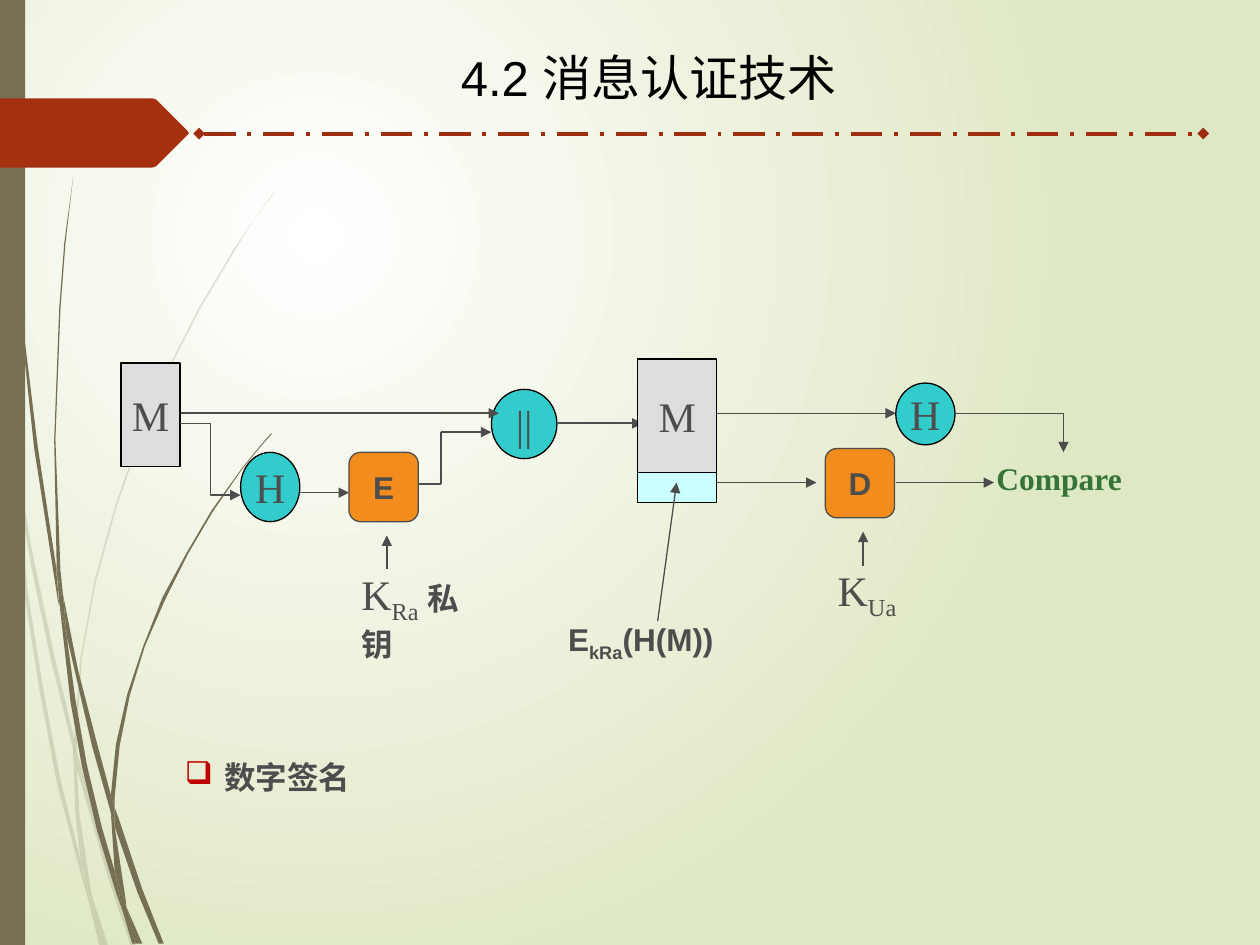
import lxml.etree
import pptx
import pptx.dml.color
import pptx.enum.dml
import pptx.enum.shapes
import pptx.enum.text
import pptx.oxml
import pptx.oxml.ns
import pptx.util

Inches = pptx.util.Inches
SHAPES = pptx.enum.shapes.MSO_SHAPE
CONNECTORS = pptx.enum.shapes.MSO_CONNECTOR
SERIF, SANS = "Times New Roman", "Arial"
GREY, BLACK, OLIVE, RUST = "4D4D4D", "000000", "766F54", "A53010"
SILVER, TEAL, ORANGE = "DDDDDD", "33CCCC", "F28C1C"

PALE_WISPS = [
    [.08, 3.5, .06, 3.22, 0, 2.82, 0, 2.99, .07, 3.44],
    [.4, 5.22, .59, 5.99, .59, 5.86, .43, 5.2, .25, 4.35, .1, 3.45, .12, 3.76, .25, 4.51],
    [.64, 6.07, .61, 5.96, .61, 6.1, .85, 6.94, 1.04, 7.51, 1.08, 7.51, .88, 6.92],
    [.83, 7.51, .86, 7.51, .73, 7.11],
    [.64, 6.83, .48, 6.19, .34, 5.45, .22, 4.69, .12, 3.76, .08, 3.5, .19, 4.7, .31, 5.46,
     .45, 6.21, .64, 6.93, .7, 7.14, .69, 7.07],
    [.58, 5.99, .6, 6.46, .64, 6.83, .67, 6.92, .73, 7.11, .72, 7.06, .63, 6.46, .61, 6.1, .61, 6.08],
    [.61, 5.84, .65, 5.22, .76, 4.62, .92, 4.04, 1.11, 3.49, 1.33, 2.96, 1.59, 2.45, 1.87, 1.98,
     2.01, 1.75, 2.17, 1.54, 2.17, 1.53, 2.01, 1.75, 1.86, 1.97, 1.58, 2.44, 1.32, 2.95, 1.1, 3.48,
     .91, 4.03, .75, 4.61, .64, 5.22, .59, 5.84, .59, 5.86, .61, 5.96],
    [.7, 7.14, .79, 7.51, .82, 7.51],
    [.61, 6.08, .61, 6.1, .61, 5.96, .59, 5.86, .58, 5.99],
    [.67, 6.92, .65, 6.83, .69, 7.07, .7, 7.14, .82, 7.51, .83, 7.51, .73, 7.11],
]
DARK_WISPS = [
    [.05, 1.1, .14, 2.33, .27, 3.55, .46, 4.77, .47, 4.81, .45, 4.57, .45, 4.53, .3, 3.55, .15, 2.32,
     .06, 1.09, .04, .48, .03, 0, .02, 0, .03, .48],
    [.73, 5.92, .88, 6.45, .88, 6.33, .88, 6.31, .77, 5.9, .62, 5.32, .5, 4.72, .53, 5.05],
    [.94, 6.49, .91, 6.41, .91, 6.56, 1.09, 7.08, 1.26, 7.49, 1.3, 7.49, 1.13, 7.06],
    [.91, 6.91, .81, 6.57, .69, 6.07, .6, 5.56, .53, 5.05, .47, 4.77, .56, 5.57, .65, 6.08, .77, 6.59,
     .92, 7.08, .97, 7.22, .96, 7.17],
    [.5, 4.72, .48, 4.53, .44, 3.49, .48, 2.45, .52, 1.93, .58, 1.41, .51, 1.93, .47, 2.45,
     .43, 3.49, .45, 4.49, .49, 4.72],
    [1.1, 7.49, 1.13, 7.49, 1, 7.19],
    [.47, 4.77, .53, 5.05, .5, 4.72, .49, 4.72, .45, 4.49, .45, 4.53],
    [.91, 6.33, .95, 5.92, 1.03, 5.52, 1.15, 5.13, 1.31, 4.76, 1.49, 4.4, 1.69, 4.06, 1.91, 3.74,
     2.03, 3.59, 2.16, 3.44, 2.15, 3.44, 2.03, 3.58, 1.91, 3.73, 1.68, 4.05, 1.48, 4.39, 1.29, 4.74,
     1.14, 5.12, 1.01, 5.51, .92, 5.91, .88, 6.31, .91, 6.41],
    [.97, 7.22, 1.05, 7.49, 1.08, 7.49],
    [.88, 6.45, .91, 6.91, .96, 7.06, 1, 7.19, 1, 7.16, .91, 6.56, .9, 6.51],
    [.88, 6.45, .9, 6.51, .91, 6.56, .91, 6.41, .88, 6.31, .88, 6.33],
    [.96, 7.06, .91, 6.91, .96, 7.17, .97, 7.22, 1.08, 7.49, 1.1, 7.49, 1, 7.19],
]
TAG = [1.5, 1.06, 1.24, 1.32, 1.21, 1.33, 0, 1.33, 0, .78, 1.21, .78, 1.24, .79, 1.49, 1.04]


def colour(value):
    return pptx.dml.color.RGBColor.from_string(value)


def add_xml(parent, tag, **attributes):
    element = pptx.oxml.parse_xml(f'<a:{tag} {pptx.oxml.ns.nsdecls("a")}/>')
    for name, value in attributes.items():
        element.set(name, str(value))
    parent.append(element)
    return element


class Canvas:
    """Draws the signature diagram's elements on one slide in a shared style."""

    def __init__(self, slide):
        self.slide = slide
        self.shapes = slide.shapes

    def background(self, inner, outer):
        fill = self.slide.background.fill
        fill.gradient()
        for stop, value in zip(fill.gradient_stops, (inner, outer)):
            stop.color.rgb = colour(value)
        gradient = self.slide._element.xpath(".//p:bg//a:gradFill")[0]
        gradient.remove(gradient.find(pptx.oxml.ns.qn("a:lin")))
        radial = add_xml(gradient, "path", path="circle")
        add_xml(radial, "fillToRect", l=50000, t=50000, r=100000, b=100000)

    def outline(self, numbers, fill, opacity=100):
        points = [(Inches(x), Inches(y)) for x, y in zip(numbers[::2], numbers[1::2])]
        builder = self.shapes.build_freeform(*points[0])
        builder.add_line_segments(points[1:], close=True)
        shape = builder.convert_to_shape()
        self.paint(shape, fill)
        if opacity < 100:
            add_xml(shape._element.xpath("./p:spPr/a:solidFill/*")[0], "alpha", val=opacity * 1000)

    def paint(self, shape, fill, line=None):
        shape.shadow.inherit = False
        shape.fill.solid()
        shape.fill.fore_color.rgb = colour(fill)
        if line:
            shape.line.color.rgb = colour(line)
            shape.line.width = pptx.util.Pt(0.75)
        else:
            shape.line.fill.background()

    def add_run(self, paragraph, text, size, font, value, bold=False, subscript=False):
        run = paragraph.add_run()
        run.text = text
        run.font.size = pptx.util.Pt(size)
        run.font.name = font
        run.font.bold = bold
        run.font.color.rgb = colour(value)
        if subscript:
            run.font._element.set("baseline", "-25000")

    def block(self, kind, box, fill, line=None, label=None, size=24, font=SERIF, bold=False):
        shape = self.shapes.add_shape(kind, *map(Inches, box))
        self.paint(shape, fill, line)
        if label:
            frame = shape.text_frame
            frame.word_wrap = False
            frame.vertical_anchor = pptx.enum.text.MSO_ANCHOR.MIDDLE
            paragraph = frame.paragraphs[0]
            paragraph.alignment = pptx.enum.text.PP_ALIGN.CENTER
            self.add_run(paragraph, label, size, font, GREY, bold)

    def text(self, box, *runs, bullet=None):
        frame = self.shapes.add_textbox(*map(Inches, box)).text_frame
        frame.word_wrap = True
        frame.auto_size = pptx.enum.text.MSO_AUTO_SIZE.SHAPE_TO_FIT_TEXT
        paragraph = frame.paragraphs[0]
        if bullet:
            properties = paragraph._p.get_or_add_pPr()
            properties.set("marL", str(Inches(0.31)))
            properties.set("indent", str(Inches(-0.31)))
            add_xml(add_xml(properties, "buClr"), "srgbClr", val="C00000")
            add_xml(properties, "buChar", char=bullet)
        for run in runs:
            self.add_run(paragraph, *run)

    def line(self, start, end, width=0.75, head=None, tail=None, value=GREY,
             kind=CONNECTORS.STRAIGHT, dash=None):
        connector = self.shapes.add_connector(kind, *map(Inches, start + end))
        connector.line.color.rgb = colour(value)
        connector.line.width = pptx.util.Pt(width)
        if dash:
            connector.line.dash_style = dash
        for tag, arrow in (("headEnd", head), ("tailEnd", tail)):
            if arrow:
                add_xml(connector.line._get_or_add_ln(), tag, type=arrow)
        add_xml(connector._element.spPr, "effectLst")

    def arrow(self, start, end, width=0.75, **options):
        self.line(start, end, width, tail="triangle", **options)


def main():
    presentation = pptx.Presentation()
    presentation.slide_width, presentation.slide_height = Inches(10), Inches(7.5)
    canvas = Canvas(presentation.slides.add_slide(presentation.slide_layouts[6]))
    canvas.background("FFFFFF", "DFE8C4")
    for wisp in PALE_WISPS:
        canvas.outline(wisp, OLIVE, 20)
    for wisp in DARK_WISPS:
        canvas.outline(wisp, OLIVE)
    canvas.block(SHAPES.RECTANGLE, (0, 0, 0.2, 7.5), OLIVE)
    canvas.outline(TAG, RUST)
    canvas.line((1.58, 1.06), (9.55, 1.06), 2.25, "diamond", "diamond", "9E2E0F",
                dash=pptx.enum.dml.MSO_LINE.LONG_DASH_DOT)

    canvas.block(SHAPES.RECTANGLE, (0.96, 2.88, 0.47, 0.82), SILVER, BLACK, "M")
    for label, box in (("H", (1.91, 3.59, 0.47, 0.55)), ("||", (3.9, 3.09, 0.52, 0.55)),
                       ("H", (7.11, 3.04, 0.47, 0.49))):
        canvas.block(SHAPES.OVAL, box, TEAL, BLACK, label)
    canvas.arrow((1.44, 3.28), (3.96, 3.28), 1)
    canvas.line((3.29, 3.84), (3.5, 3.84), 1)
    canvas.line((3.5, 3.84), (3.5, 3.43), 1)
    canvas.arrow((3.5, 3.43), (3.9, 3.43), 1)
    canvas.arrow((4.43, 3.36), (5.1, 3.36), 1)
    canvas.text((7.81, 3.59, 1.2, 0.4), ("Compare", 18, SERIF, "347436", True))
    canvas.block(SHAPES.RECTANGLE, (5.06, 2.85, 0.63, 0.9), SILVER, BLACK, "M")
    canvas.block(SHAPES.RECTANGLE, (5.06, 3.75, 0.63, 0.24), "CCFFFF", BLACK)
    canvas.text((4.41, 4.87, 1.39, 0.4), ("E", 18, SANS, GREY, True),
                ("kRa", 18, SANS, GREY, True, True), ("(H(M))", 18, SANS, GREY, True))

    private_key = (" 私钥", 18, SANS, GREY, True)
    for label, left, top, width, key, extra in (("E", 2.77, 3.59, 1.19, "Ra", [private_key]),
                                                ("D", 6.55, 3.56, 0.7, "Ua", [])):
        canvas.block(SHAPES.ROUNDED_RECTANGLE, (left, top, 0.55, 0.55), ORANGE, GREY,
                     label, 18, SANS, True)
        canvas.line((left + 0.3, top + 0.66), (left + 0.3, top + 0.93), 1, head="triangle")
        canvas.text((left, top + 0.87, width, 0.5), ("K", 24, SERIF, GREY),
                    (key, 24, SERIF, GREY, False, True), *extra)

    canvas.arrow((5.69, 3.28), (7.11, 3.28))
    canvas.arrow((5.22, 4.93), (5.37, 3.83))
    canvas.line((7.58, 3.28), (8.44, 3.28))
    canvas.arrow((8.44, 3.28), (8.44, 3.59))
    canvas.arrow((1.43, 3.36), (1.91, 3.93), kind=CONNECTORS.ELBOW)
    canvas.arrow((2.38, 3.91), (2.77, 3.91))
    canvas.arrow((5.69, 3.83), (6.48, 3.83))
    canvas.arrow((7.11, 3.83), (7.89, 3.83))
    canvas.text((1.37, 5.97, 1.53, 0.4), ("数字签名", 18, SANS, GREY, True), bullet="❑")
    canvas.text((3.56, 0.33, 3.39, 0.57), ("4.2 消息认证技术", 28, SANS, BLACK))
    presentation.save("out.pptx")


if __name__ == "__main__":
    main()
